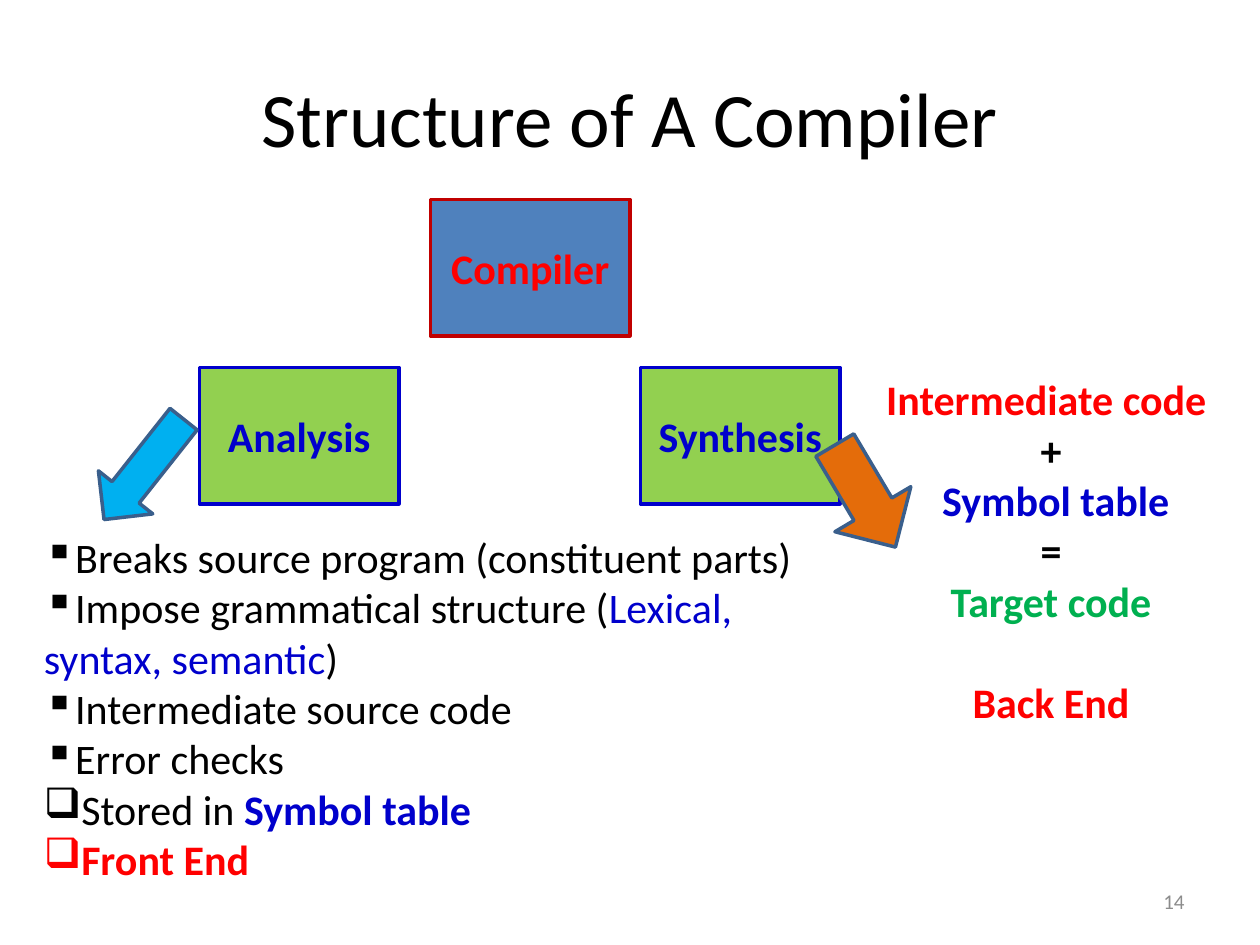
"""Build the slide on the structure of a compiler."""
from dataclasses import dataclass
from typing import NamedTuple, Optional

from lxml.etree import SubElement
from pptx import Presentation
from pptx.dml.color import RGBColor
from pptx.enum.shapes import MSO_SHAPE
from pptx.enum.text import MSO_ANCHOR, MSO_AUTO_SIZE, PP_ALIGN
from pptx.oxml.ns import qn
from pptx.util import Inches, Pt

BLACK = RGBColor(0x00, 0x00, 0x00)
RED = RGBColor(0xFF, 0x00, 0x00)
DARK_RED = RGBColor(0xC0, 0x00, 0x00)
BLUE = RGBColor(0x00, 0x00, 0xCC)
STEEL_BLUE = RGBColor(0x4F, 0x81, 0xBD)
OUTLINE_BLUE = RGBColor(0x3A, 0x5F, 0x8C)
SKY_BLUE = RGBColor(0x00, 0xB0, 0xF0)
LIME = RGBColor(0x92, 0xD0, 0x50)
GREEN = RGBColor(0x00, 0xB0, 0x50)
ORANGE = RGBColor(0xE4, 0x6C, 0x0A)
GRAY = RGBColor(0x8C, 0x8C, 0x8C)

CELL = Inches(1) / 12
FONT = "Calibri"
BODY_SIZE = 24
BLANK_LINE = 29.3
SQUARE, CHECKBOX = "▪", "❑"


class Area(NamedTuple):
    """Place and size in grid cells."""
    column: float
    row: float
    columns: float
    rows: float

    def lengths(self) -> list[int]:
        """Convert the cells to slide lengths."""
        return [round(cells * CELL) for cells in self]


class Run(NamedTuple):
    """Words in one colour and weight."""
    text: str
    color: RGBColor = BLACK
    bold: bool = False


@dataclass
class Line:
    """One paragraph of a text block."""
    runs: list[Run]
    bullet: Optional[str] = None
    space_before: float = 0


@dataclass
class Block:
    """A text box and its paragraphs."""
    area: Area
    lines: list[Line]
    alignment: PP_ALIGN = PP_ALIGN.LEFT
    size: float = BODY_SIZE
    anchor: MSO_ANCHOR = MSO_ANCHOR.MIDDLE
    wrap: bool = True
    grow: bool = False


@dataclass
class Figure:
    """A filled and outlined shape, with an optional label."""
    kind: MSO_SHAPE
    area: Area
    fill: RGBColor
    outline: RGBColor
    label: Optional[Run] = None
    rotation: float = 0


def stage(column: float, row: float, fill: RGBColor, outline: RGBColor, label: Run) -> Figure:
    """Describe one box of the compiler tree."""
    return Figure(MSO_SHAPE.RECTANGLE, Area(column, row, 19, 13), fill, outline, label)


def arrow(area: Area, fill: RGBColor, rotation: float) -> Figure:
    """Describe a turned block arrow."""
    return Figure(MSO_SHAPE.DOWN_ARROW, area, fill, OUTLINE_BLUE, rotation=rotation)


TITLE = Block(Area(6, 3.6, 108, 15), [Line([Run("Structure of A Compiler")])], PP_ALIGN.CENTER, 44)
STAGES = [
    stage(41, 19, STEEL_BLUE, DARK_RED, Run("Compiler", RED, True)),
    stage(19, 35, LIME, BLUE, Run("Analysis", BLUE, True)),
    stage(61, 35, LIME, BLUE, Run("Synthesis", BLUE, True)),
]
FRONT_END = Block(
    Area(3, 50, 77, 35.2),
    [
        Line([Run("Breaks source program (constituent parts)")], SQUARE),
        Line([Run("Impose grammatical structure ("),
              Run("Lexical, syntax, semantic", BLUE), Run(")")], SQUARE),
        Line([Run("Intermediate source code")], SQUARE),
        Line([Run("Error checks")], SQUARE),
        Line([Run("Stored in "), Run("Symbol table", BLUE, True)], CHECKBOX),
        Line([Run("Front End", RED, True)], CHECKBOX),
    ],
    anchor=MSO_ANCHOR.TOP, grow=True,
)
BACK_END = Block(
    Area(83, 35, 34.2, 40),
    [
        Line([Run("Intermediate code ", RED, True)]),
        Line([Run("+", BLACK, True)]),
        Line([Run(" Symbol table", BLUE, True)]),
        Line([Run("=", BLACK, True)]),
        Line([Run("Target code", GREEN, True)]),
        Line([Run("Back End", RED, True)], space_before=BLANK_LINE),
    ],
    PP_ALIGN.CENTER, anchor=MSO_ANCHOR.TOP, wrap=False, grow=True,
)
ARROWS = [
    arrow(Area(10.4, 38.6, 6.6, 12.2), SKY_BLUE, 38.4),
    arrow(Area(78.2, 41.6, 8.4, 11.3), ORANGE, 329.3),
]
PAGE_NUMBER = Block(Area(86, 83.4, 28, 4.8), [Line([Run("14", GRAY)])], PP_ALIGN.RIGHT, 12)


def write_line(paragraph, line: Line, alignment: PP_ALIGN, size: float) -> None:
    """Fill a paragraph with the runs of a line."""
    paragraph.alignment = alignment
    paragraph.font.name = FONT
    paragraph.font.size = Pt(size)
    if line.space_before:
        paragraph.space_before = Pt(line.space_before)
    if line.bullet:
        properties = paragraph._p.get_or_add_pPr()
        SubElement(properties, qn("a:buChar")).set("char", line.bullet)
        properties.append(properties.find(qn("a:defRPr")))
    for words in line.runs:
        run = paragraph.add_run()
        run.text = words.text
        run.font.color.rgb = words.color
        run.font.bold = words.bold


def draw_block(slide, block: Block) -> None:
    """Draw a text box."""
    frame = slide.shapes.add_textbox(*block.area.lengths()).text_frame
    frame.word_wrap = block.wrap
    frame.vertical_anchor = block.anchor
    frame.auto_size = MSO_AUTO_SIZE.SHAPE_TO_FIT_TEXT if block.grow else MSO_AUTO_SIZE.NONE
    for index, line in enumerate(block.lines):
        paragraph = frame.add_paragraph() if index else frame.paragraphs[0]
        write_line(paragraph, line, block.alignment, block.size)


def draw_figure(slide, figure: Figure) -> None:
    """Draw a box or an arrow."""
    shape = slide.shapes.add_shape(figure.kind, *figure.area.lengths())
    shape.shadow.inherit = False
    shape.rotation = figure.rotation
    shape.fill.solid()
    shape.fill.fore_color.rgb = figure.fill
    shape.line.color.rgb = figure.outline
    shape.line.width = Pt(2)
    if figure.label:
        frame = shape.text_frame
        frame.vertical_anchor = MSO_ANCHOR.MIDDLE
        write_line(frame.paragraphs[0], Line([figure.label]), PP_ALIGN.CENTER, BODY_SIZE)


def main() -> None:
    """Build and save the presentation."""
    presentation = Presentation()
    presentation.slide_width = Inches(10)
    presentation.slide_height = Inches(7.5)
    slide = presentation.slides.add_slide(presentation.slide_layouts[6])
    draw_block(slide, TITLE)
    for figure in STAGES:
        draw_figure(slide, figure)
    for block in (FRONT_END, BACK_END):
        draw_block(slide, block)
    for figure in ARROWS:
        draw_figure(slide, figure)
    draw_block(slide, PAGE_NUMBER)
    presentation.save("out.pptx")


if __name__ == "__main__":
    main()
